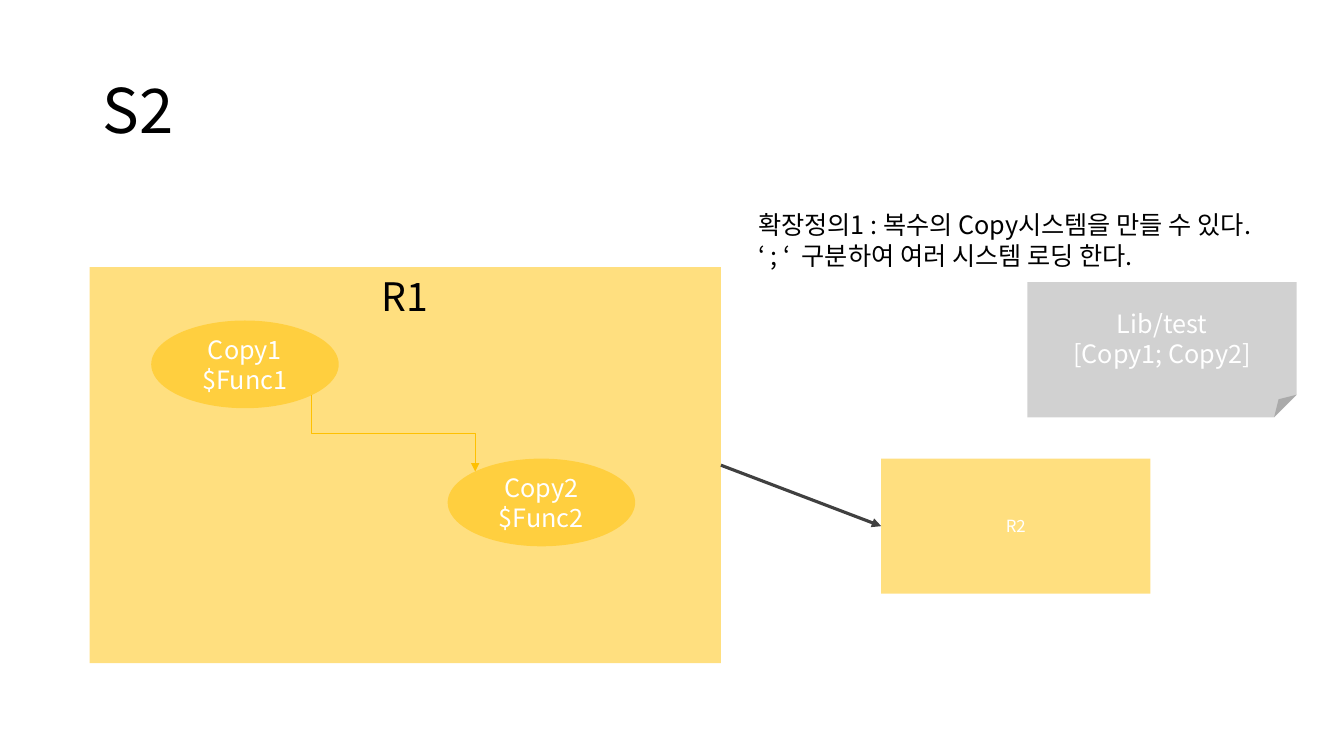
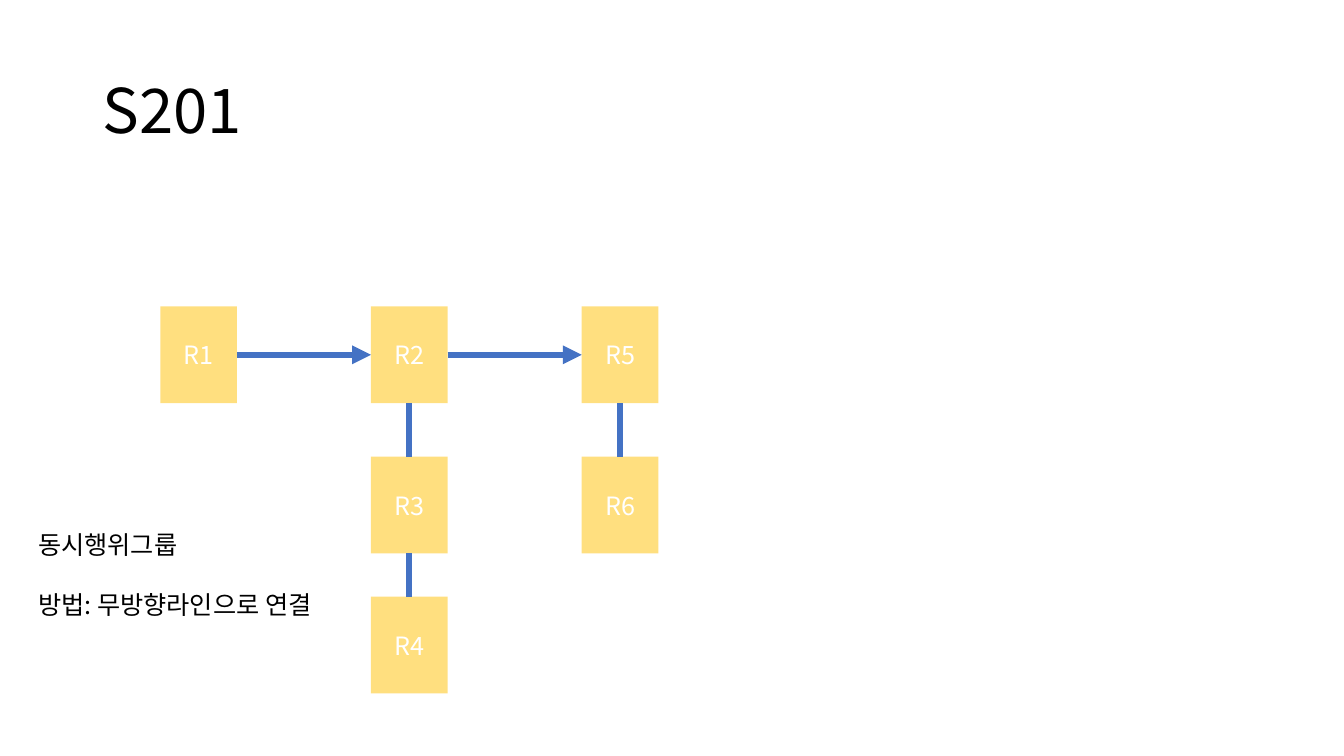
"""Build two slides on copy systems and concurrent action groups."""
from dataclasses import dataclass
from math import sqrt

from lxml import etree
from pptx import Presentation
from pptx import util as u
from pptx.dml.color import RGBColor
from pptx.enum import shapes, text
from pptx.oxml.ns import qn


@dataclass(frozen=True)
class Theme:
    """Colours and type sizes."""
    font: str = "Noto Sans CJK KR"
    ink: str = "000000"
    paper: str = "FFFFFF"
    gold: str = "FFC000"
    grey: str = "A5A5A5"
    dark: str = "404040"
    blue: str = "4472C4"
    title: int = 44
    heading: int = 28
    body: int = 18
    small: int = 12


THEME = Theme()
FORM = shapes.MSO_SHAPE
TOP, LEFT, BOTTOM, RIGHT = range(4)
TITLE_AREA = (0.92, 0.4, 11.5, 1.45)

COPY_TITLE = "S2"
COPY_PARTS = {
    "R2": (FORM.RECTANGLE, (8.74, 4.55, 2.67, 1.34), ["R2"], {"size": THEME.small}),
    "R1": (FORM.RECTANGLE, (0.89, 2.65, 6.26, 3.93), ["R1"],
           {"size": THEME.heading, "color": THEME.ink, "anchor": text.MSO_ANCHOR.TOP}),
    "Copy1": (FORM.OVAL, (1.5, 3.18, 1.86, 0.87), ["Copy1 $Func1"], {}),
    "Copy2": (FORM.OVAL, (4.44, 4.55, 1.86, 0.87), ["Copy2 $Func2"], {}),
    "Lib": (FORM.FOLDED_CORNER, (10.19, 2.8, 2.67, 1.34),
            ["Lib/test", "[Copy1; Copy2]"], {"fill": THEME.grey}),
}
COPY_NOTE = ["확장정의1 : 복수의 Copy시스템을 만들 수 있다.",
             "‘ ; ‘  구분하여 여러 시스템 로딩 한다."]
COPY_NOTE_AREA = (7.42, 2.03, 5.92, 0.71)

GROUP_TITLE = "S201"
GROUP_CELLS = {"R1": (0, 0), "R2": (1, 0), "R3": (1, 1),
               "R5": (2, 0), "R4": (1, 2), "R6": (2, 1)}
GROUP_LEFT, GROUP_PITCH = 1.59, 2.09
GROUP_ROWS = (3.04, 4.53, 5.92)
GROUP_CELL = (0.76, 0.96)
GROUP_PEERS = [("R5", "R6"), ("R2", "R3"), ("R3", "R4")]
GROUP_STEPS = [("R1", "R2"), ("R2", "R5")]
GROUP_NOTE = ["동시행위그룹", "방법: 무방향라인으로 연결"]
GROUP_NOTE_AREA = (0.28, 5.2, 3.21, 1.01)


def inches(values):
    return [u.Inches(value) for value in values]


def write(shape, lines, size=THEME.body, color=THEME.ink, align=text.PP_ALIGN.LEFT,
          anchor=text.MSO_ANCHOR.TOP, gap=0, spacing=None):
    frame = shape.text_frame
    frame.text = "\n".join(lines)
    frame.word_wrap = True
    frame.vertical_anchor = anchor
    for index, paragraph in enumerate(frame.paragraphs):
        layout = {"alignment": align, "line_spacing": spacing,
                  "space_before": u.Pt(gap) if index else None}
        for name, value in layout.items():
            setattr(paragraph, name, value)
        for run in paragraph.runs:
            run.font.size = u.Pt(size)
            run.font.name = THEME.font
            run.font.color.rgb = RGBColor.from_string(color)
            etree.SubElement(run.font._element, qn("a:ea"), typeface=THEME.font)


def add_text(slide, area, lines, **style):
    write(slide.shapes.add_textbox(*inches(area)), lines, **style)


def add_part(slide, form, area, lines, fill=THEME.gold, **style):
    part = slide.shapes.add_shape(form, *inches(area))
    part.shadow.inherit = False
    part.fill.solid()
    part.fill.fore_color.rgb = RGBColor.from_string(fill)
    tint = part.fill._xPr.find(qn("a:solidFill"))[0]
    etree.SubElement(tint, qn("a:alpha"), val="50000")
    part.line.fill.background()
    write(part, lines, **{"color": THEME.paper, "align": text.PP_ALIGN.CENTER,
                          "anchor": text.MSO_ANCHOR.MIDDLE, **style})
    return part


def draw_line(link, color, width, arrow):
    link.line.color.rgb = RGBColor.from_string(color)
    link.line.width = u.Pt(width)
    if arrow:
        etree.SubElement(link.line._get_or_add_ln(), qn("a:tailEnd"), type="triangle")
    etree.SubElement(link._element.spPr, qn("a:effectLst"))


def join(slide, start, start_side, end, end_side, color, width, arrow=False):
    link = slide.shapes.add_connector(shapes.MSO_CONNECTOR.STRAIGHT, 0, 0, 0, 0)
    link.begin_connect(start, start_side)
    link.end_connect(end, end_side)
    draw_line(link, color, width, arrow)


def rim(oval, direction):
    reach = (1 + direction / sqrt(2)) / 2
    return oval.left + oval.width * reach, oval.top + oval.height * reach


def step_down(slide, start, end, color, width):
    (x1, y1), (x2, y2) = rim(start, 1), rim(end, -1)
    middle_x, middle_y = (x1 + x2) / 2, (y1 + y2) / 2
    half_w, half_h = (y2 - y1) / 2, (x2 - x1) / 2
    corners = (middle_x + half_w, middle_y - half_h, middle_x - half_w, middle_y + half_h)
    link = slide.shapes.add_connector(shapes.MSO_CONNECTOR.ELBOW, *map(int, corners))
    link._element.spPr.find(qn("a:xfrm")).set("rot", str(270 * 60000))
    draw_line(link, color, width, True)


def add_slide(deck, title):
    slide = deck.slides.add_slide(deck.slide_layouts[6])
    add_text(slide, TITLE_AREA, [title], size=THEME.title,
             anchor=text.MSO_ANCHOR.MIDDLE, spacing=0.9)
    return slide


def build_copy(deck):
    slide = add_slide(deck, COPY_TITLE)
    parts = {key: add_part(slide, form, area, lines, **style)
             for key, (form, area, lines, style) in COPY_PARTS.items()}
    join(slide, parts["R1"], RIGHT, parts["R2"], LEFT, THEME.dark, 2.25, True)
    step_down(slide, parts["Copy1"], parts["Copy2"], THEME.gold, 0.5)
    add_text(slide, COPY_NOTE_AREA, COPY_NOTE)


def build_group(deck):
    slide = add_slide(deck, GROUP_TITLE)
    cells = {}
    for label, (column, row) in GROUP_CELLS.items():
        area = (GROUP_LEFT + column * GROUP_PITCH, GROUP_ROWS[row], *GROUP_CELL)
        cells[label] = add_part(slide, FORM.RECTANGLE, area, [label])
    for upper, lower in GROUP_PEERS:
        join(slide, cells[upper], BOTTOM, cells[lower], TOP, THEME.blue, 4.5)
    for before, after in GROUP_STEPS:
        join(slide, cells[before], RIGHT, cells[after], LEFT, THEME.blue, 4.5, True)
    add_text(slide, GROUP_NOTE_AREA, GROUP_NOTE, gap=21.5)


def main():
    deck = Presentation()
    deck.slide_width, deck.slide_height = inches((13.33, 7.5))
    build_copy(deck)
    build_group(deck)
    deck.save("out.pptx")


if __name__ == "__main__":
    main()
